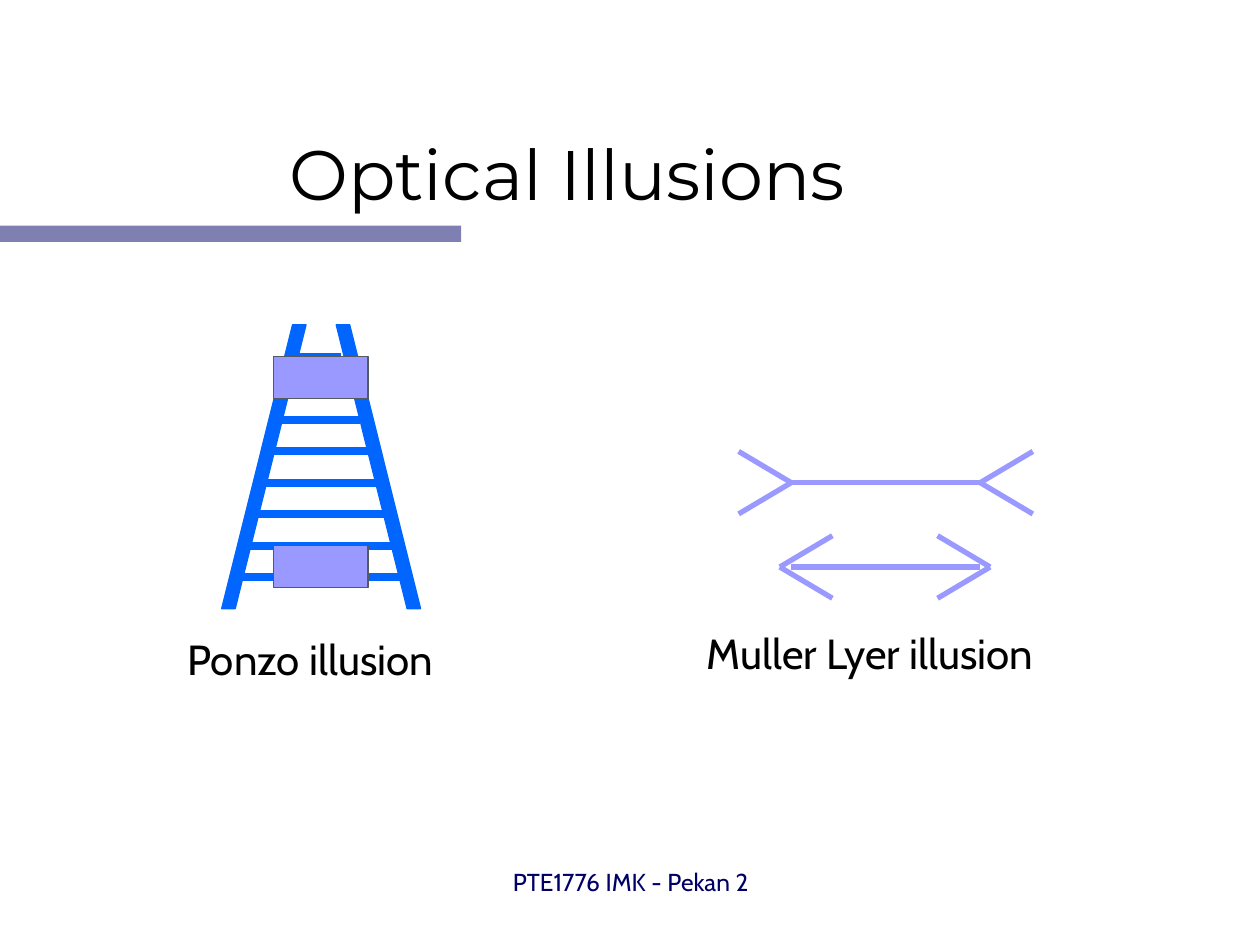
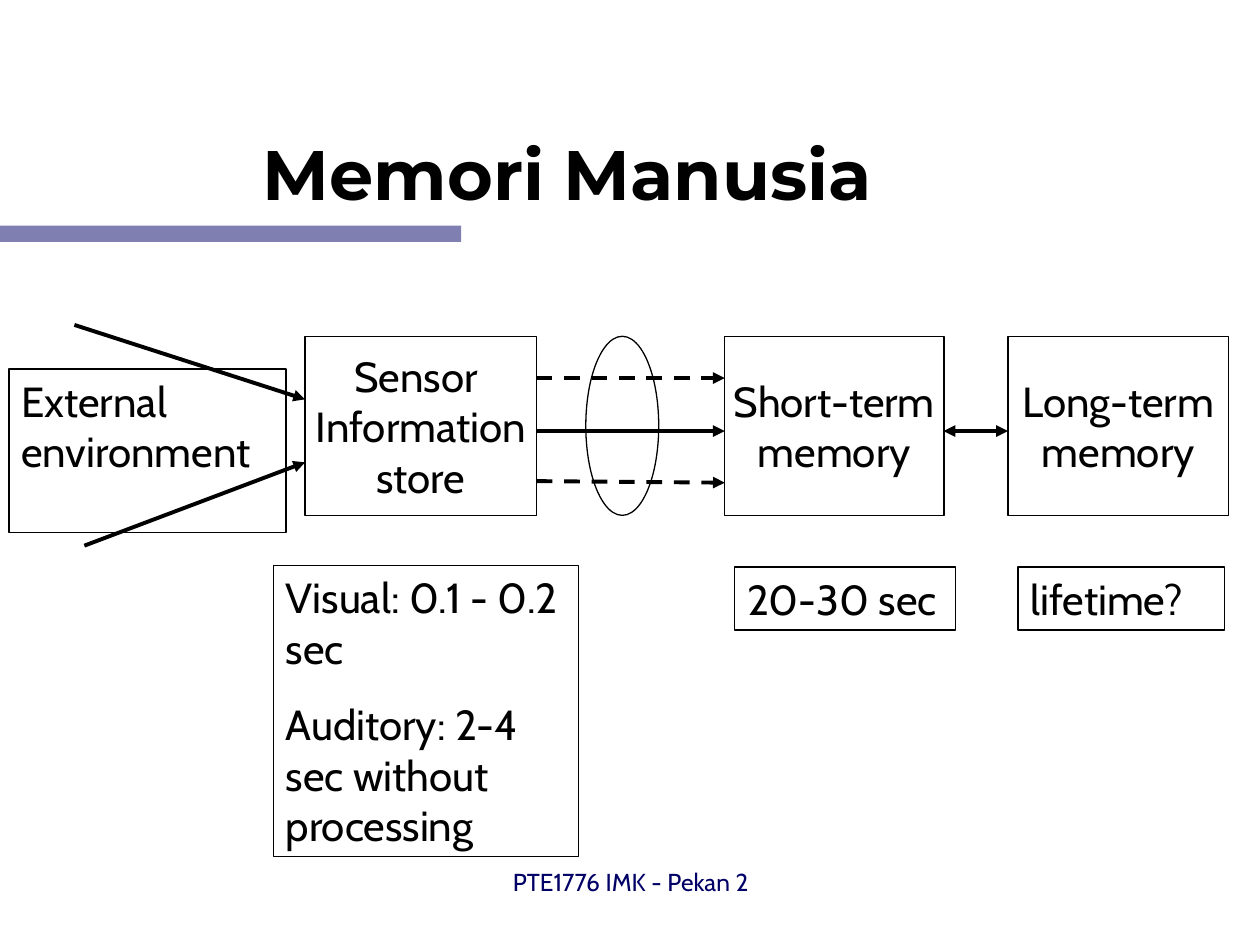
"""Build two lecture slides: optical illusions and the human memory model."""
from dataclasses import dataclass

from lxml.etree import SubElement
from pptx import Presentation
from pptx.dml.color import RGBColor
from pptx.enum.dml import MSO_LINE
from pptx.enum.shapes import MSO_CONNECTOR, MSO_SHAPE
from pptx.enum.text import MSO_ANCHOR, MSO_AUTO_SIZE, PP_ALIGN
from pptx.oxml.ns import qn
from pptx.util import Cm, Pt

COLORS = {
    "ink": "000000",
    "navy": "000066",
    "ladder": "0066FF",
    "lilac": "9999FF",
    "outline": "555A5E",
}
TITLE_FONT, BODY_FONT = "Montserrat", "Cabin"
FOOTER = "PTE1776 IMK - Pekan 2"


@dataclass(frozen=True)
class Area:
    left: float
    top: float
    width: float
    height: float

    def lengths(self) -> tuple:
        return Cm(self.left), Cm(self.top), Cm(self.width), Cm(self.height)


@dataclass(frozen=True)
class Stroke:
    start: tuple
    end: tuple
    color: str = "ink"
    width: float = 2.25
    dashed: bool = False
    heads: tuple = ()


@dataclass(frozen=True)
class Block:
    area: Area
    lines: tuple = ()
    centred: bool = False
    space: float = 0
    kind: MSO_SHAPE = MSO_SHAPE.RECTANGLE


def color(name: str) -> RGBColor:
    return RGBColor.from_string(COLORS[name])


def write(box, *lines: str, size=24, font=BODY_FONT, ink="ink", bold=False,
          align=PP_ALIGN.LEFT, anchor=MSO_ANCHOR.TOP, wrap=True, space=0) -> None:
    frame = box.text_frame
    frame.auto_size = MSO_AUTO_SIZE.NONE
    frame.word_wrap = wrap
    frame.vertical_anchor = anchor
    for index, line in enumerate(lines):
        para = frame.add_paragraph() if index else frame.paragraphs[0]
        para.alignment = align
        if index and space:
            para.space_before = Pt(space)
        span = para.add_run()
        span.text = line
        span.font.size, span.font.name, span.font.bold = Pt(size), font, bold
        span.font.color.rgb = color(ink)


def add_figure(page, kind, area: Area, fill=None, line=None):
    shape = page.shapes.add_shape(kind, *area.lengths())
    shape.shadow.inherit = False
    if fill:
        shape.fill.solid()
        shape.fill.fore_color.rgb = color(fill)
    else:
        shape.fill.background()
    if line:
        shape.line.color.rgb = color(line)
        shape.line.width = Pt(0.75)
    else:
        shape.line.fill.background()
    return shape


def add_stroke(page, stroke: Stroke) -> None:
    ends = [Cm(value) for value in stroke.start + stroke.end]
    connector = page.shapes.add_connector(MSO_CONNECTOR.STRAIGHT, *ends)
    connector.line.color.rgb = color(stroke.color)
    connector.line.width = Pt(stroke.width)
    if stroke.dashed:
        connector.line.dash_style = MSO_LINE.DASH
    properties = connector._element.spPr
    for head in stroke.heads:
        SubElement(properties.find(qn("a:ln")), qn(f"a:{head}"), type="triangle")
    SubElement(properties, qn("a:effectLst"))


def add_label(page, area: Area, text: str, **style) -> None:
    write(page.shapes.add_textbox(*area.lengths()), text, **style)


def add_page(deck, title: str, bold=False):
    page = deck.slides.add_slide(deck.slide_layouts.get_by_name("Title Only"))
    heading = page.shapes.title
    heading.left, heading.top, heading.width, heading.height = Area(
        0.64, 1.27, 21.59, 3.18).lengths()
    write(heading, title, size=40, font=TITLE_FONT, bold=bold,
          align=PP_ALIGN.CENTER, anchor=MSO_ANCHOR.BOTTOM)
    band = add_figure(page, MSO_SHAPE.RECTANGLE, Area(0, 4.55, 9.3, 0.33), "navy")
    SubElement(band._element.spPr.find(".//" + qn("a:srgbClr")),
               qn("a:alpha"), val="50000")
    add_label(page, Area(8.69, 17.35, 8.05, 1.27), FOOTER, size=14, ink="navy",
              align=PP_ALIGN.CENTER)
    return page


def draw_ponzo(page) -> None:
    for left, flipped in ((4.47, False), (6.78, True)):
        rail = add_figure(page, MSO_SHAPE.PARALLELOGRAM,
                          Area(left, 6.55, 1.7, 5.72), "ladder", "ladder")
        rail.adjustments[0] = 0.84
        if flipped:
            rail._element.spPr.xfrm.set("flipH", "1")
    for step in (0, 1, 2, 3, 4, 5, 7):
        height, inset = 11.64 - 0.635 * step, 0.19 * step
        add_stroke(page, Stroke((4.67 + inset, height), (8.2 - inset, height),
                                "ladder", 4.5))
    for top in (11, 7.19):
        add_figure(page, MSO_SHAPE.RECTANGLE, Area(5.51, top, 1.91, 0.84),
                   "lilac", "outline")
    add_label(page, Area(3.53, 12.65, 6.02, 1.27), "Ponzo illusion")


def draw_muller_lyer(page) -> None:
    shaft_left, shaft_right = 15.95, 19.76
    for middle, left_tip, right_tip, reach in (
            (9.73, shaft_left, shaft_right, 1.06), (11.43, 15.72, 19.96, -1.06)):
        for tip, tail in ((left_tip, left_tip - reach), (right_tip, right_tip + reach)):
            for rise in (-0.63, 0.63):
                add_stroke(page, Stroke((tip, middle), (tail, middle + rise), "lilac", 3))
        add_stroke(page, Stroke((shaft_left, middle), (shaft_right, middle), "lilac", 3))
    add_label(page, Area(14, 12.52, 8.03, 1.27), "Muller Lyer illusion")


def draw_memory(page) -> None:
    top, height = 6.78, 3.61
    blocks = (
        Block(Area(6.15, top, 4.67, height), ("Sensor ", "Information", "store"), True),
        Block(Area(14.61, top, 4.42, height), ("Short-term", "memory"), True),
        Block(Area(20.32, top, 4.45, height), ("Long-term", "memory"), True),
        Block(Area(11.81, top, 1.47, height), kind=MSO_SHAPE.OVAL),
        Block(Area(0.18, 7.44, 5.59, 3.3), ("External environment",)),
        Block(Area(5.51, 11.4, 6.15, 5.87),
              ("Visual: 0.1 - 0.2 sec", "Auditory: 2-4 sec without processing"), space=15),
        Block(Area(14.81, 11.43, 4.45, 1.27), ("20-30 sec",)),
        Block(Area(20.52, 11.43, 4.17, 1.27), ("lifetime?",)),
    )
    for block in blocks:
        box = add_figure(page, block.kind, block.area, line="ink")
        write(box, *block.lines, space=block.space, wrap=not block.centred,
              align=PP_ALIGN.CENTER if block.centred else PP_ALIGN.LEFT,
              anchor=MSO_ANCHOR.MIDDLE if block.centred else MSO_ANCHOR.TOP)

    forward, both = ("tailEnd",), ("headEnd", "tailEnd")
    arrows = (
        Stroke((10.82, 8.69), (14.61, 8.69), heads=forward),
        Stroke((10.82, 7.62), (14.61, 7.62), dashed=True, heads=forward),
        Stroke((10.82, 9.7), (14.61, 9.73), dashed=True, heads=forward),
        Stroke((19.02, 8.69), (20.32, 8.69), heads=both),
        Stroke((1.5, 6.55), (6.15, 8.05), heads=forward),
        Stroke((1.7, 11), (6.15, 9.32), heads=forward),
    )
    for arrow in arrows:
        add_stroke(page, arrow)


def main() -> None:
    deck = Presentation()
    deck.slide_width, deck.slide_height = Cm(25.4), Cm(19.05)
    illusions = add_page(deck, "Optical Illusions")
    draw_ponzo(illusions)
    draw_muller_lyer(illusions)
    draw_memory(add_page(deck, "Memori Manusia", bold=True))
    deck.save("out.pptx")


if __name__ == "__main__":
    main()
